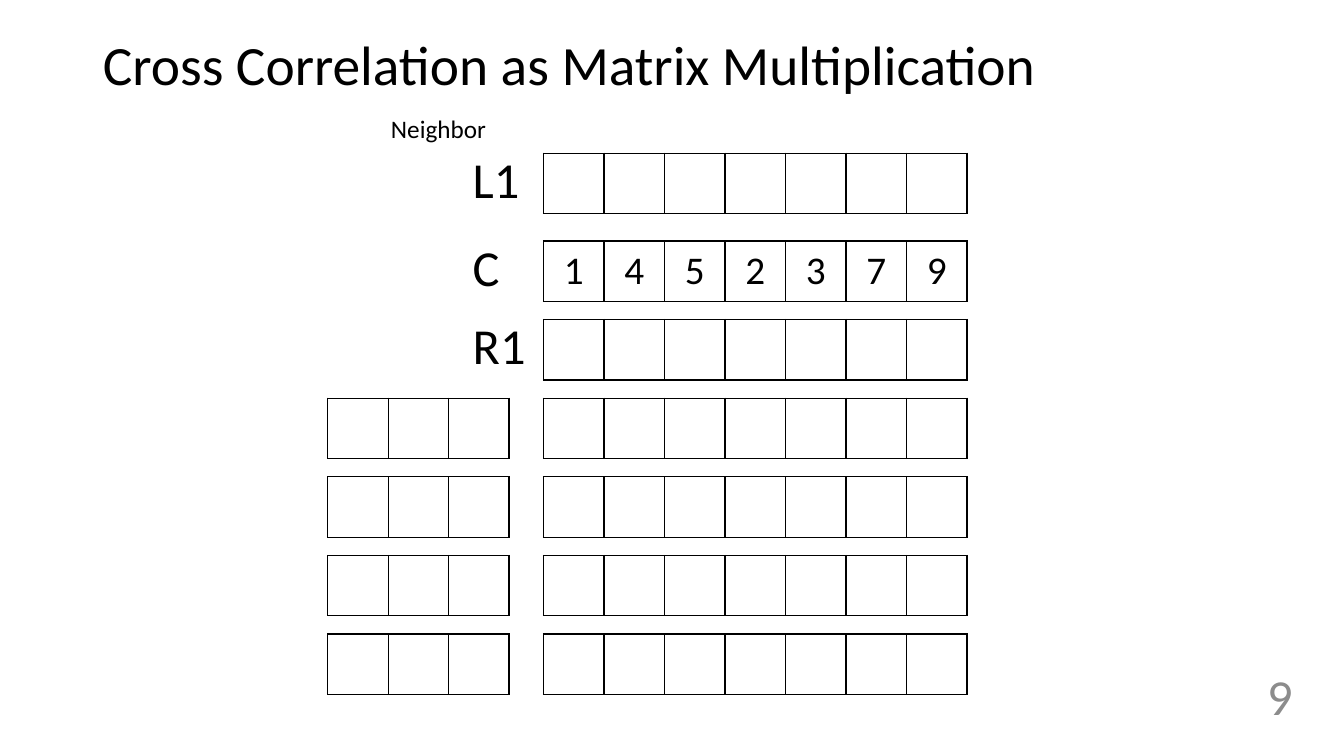
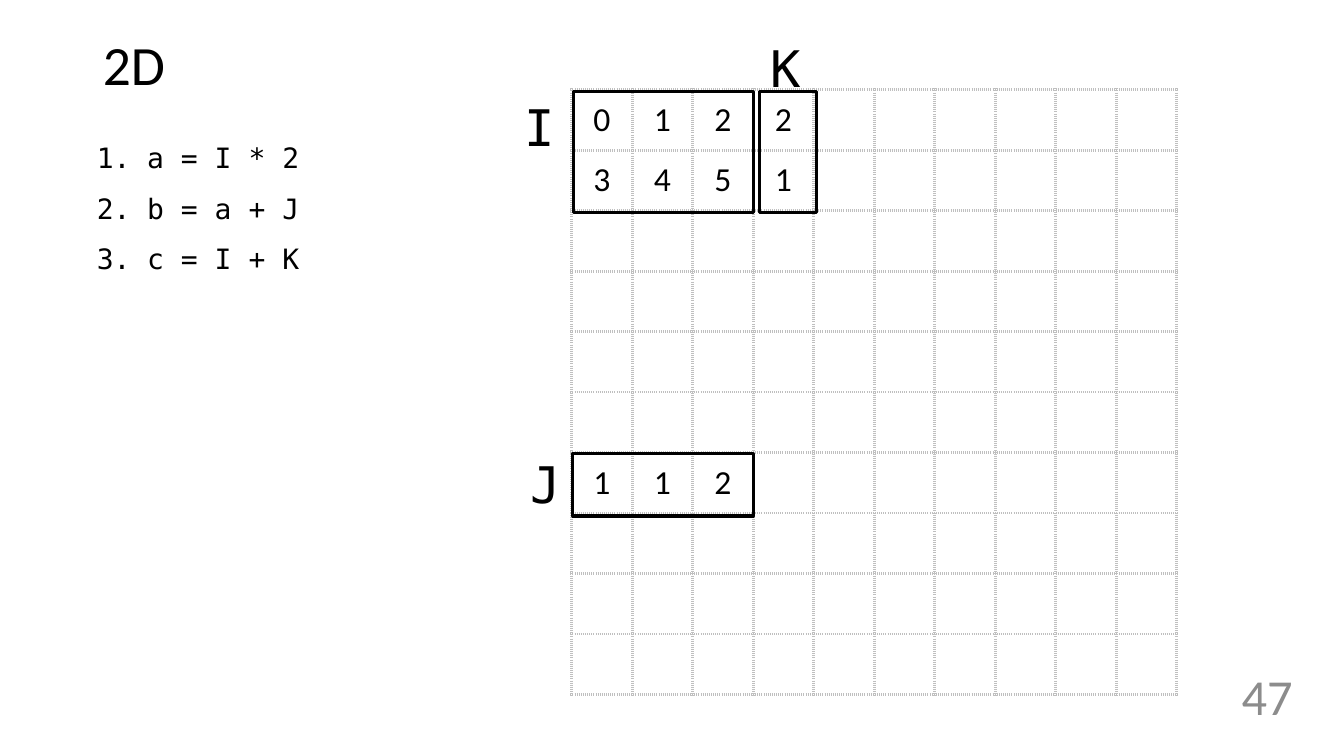
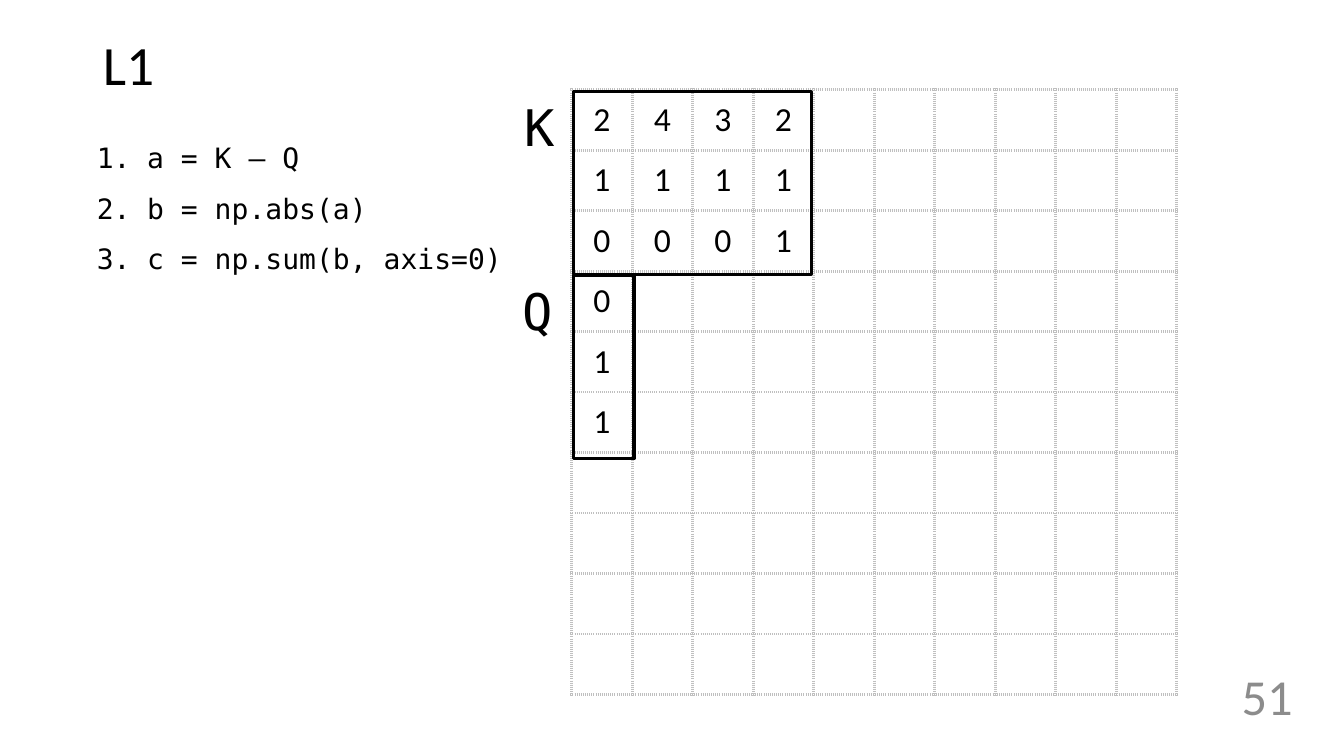
import pptx
import pptx.util
import pptx.dml.color
import pptx.enum.shapes
import pptx.enum.text
import pptx.oxml
import pptx.oxml.ns
from lxml import etree

Inches = pptx.util.Inches
Align = pptx.enum.text.PP_ALIGN
Anchor = pptx.enum.text.MSO_ANCHOR

SANS, MONO = "Calibri", "DejaVu Sans Mono"
BLACK, NUMBER_GREY, GRID_GREY = "000000", "8C8C8C", "BFBFBF"
CELL = 0.6
TITLE_ONLY, TITLE_AND_BODY = 5, 1


def write_text(frame, text, size=36, font=SANS, color=BLACK, align=Align.LEFT,
               anchor=Anchor.TOP, line_spacing=1.0):
    """Fill a text frame, one paragraph for each line of text."""
    frame.word_wrap = True
    frame.auto_size = pptx.enum.text.MSO_AUTO_SIZE.NONE
    frame.vertical_anchor = anchor
    frame.text = text
    for paragraph in frame.paragraphs:
        paragraph.alignment = align
        paragraph.line_spacing = line_spacing
        paragraph.space_before = pptx.util.Pt(0)
        run_font = paragraph.runs[0].font
        run_font.size = pptx.util.Pt(size)
        run_font.name = font
        run_font.color.rgb = pptx.dml.color.RGBColor.from_string(color)


def add_grid(slide, left, top, rows, size, color=BLACK, width=1, dash="solid"):
    """Add a table of square cells; each row is a string, a space is an empty cell."""
    column_count = len(rows[0])
    table = slide.shapes.add_table(
        len(rows), column_count, Inches(left), Inches(top),
        Inches(CELL * column_count), Inches(CELL * len(rows))).table
    table.first_row = table.horz_banding = False
    for row_index, row in enumerate(rows):
        for column_index, value in enumerate(row):
            cell = table.cell(row_index, column_index)
            cell_properties = cell._tc.get_or_add_tcPr()
            for side in "LRTB":
                cell_properties.append(pptx.oxml.parse_xml(
                    f'<a:ln{side} {pptx.oxml.ns.nsdecls("a")} w="{pptx.util.Pt(width)}">'
                    f'<a:solidFill><a:srgbClr val="{color}"/></a:solidFill>'
                    f'<a:prstDash val="{dash}"/></a:ln{side}>'))
            cell.fill.background()
            cell.vertical_anchor = Anchor.MIDDLE
            if value != " ":
                write_text(cell.text_frame, value, size=size, align=Align.CENTER,
                           anchor=Anchor.MIDDLE)


presentation = pptx.Presentation()
presentation.slide_width = Inches(13.33)
presentation.slide_height = Inches(7.5)

# Titles and slide numbers
slides = []
for title, number, layout in [
    ("Cross Correlation as Matrix Multiplication", "9", TITLE_ONLY),
    ("2D", "47", TITLE_AND_BODY),
    ("L1", "51", TITLE_AND_BODY),
]:
    slide = presentation.slides.add_slide(presentation.slide_layouts[layout])
    shape = slide.shapes.title
    shape.left, shape.top, shape.width, shape.height = map(Inches, (0.92, 0.4, 11.5, 0.55))
    write_text(shape.text_frame, title, size=39.6, anchor=Anchor.MIDDLE, line_spacing=0.9)
    shape = slide.shapes.add_textbox(*map(Inches, (11.67, 6.47, 1.25, 0.86)))
    write_text(shape.text_frame, number, color=NUMBER_GREY, align=Align.RIGHT,
               anchor=Anchor.MIDDLE)
    slides.append(slide)

# Cross correlation: signal rows on the right, filter rows on the left
slide = slides[0]
SIGNAL_LEFT, FILTER_LEFT = 5.39, 3.25
row_tops = [1.52] + [2.39 + 0.78 * step for step in range(6)]
for row_index, top in enumerate(row_tops):
    values = "1452379" if row_index == 1 else " " * 7
    add_grid(slide, SIGNAL_LEFT, top, [values], size=28)
    if row_index >= 3:
        add_grid(slide, FILTER_LEFT, top, [" " * 3], size=28)
for label, top in zip(["L1", "C", "R1"], row_tops):
    shape = slide.shapes.add_textbox(*map(Inches, (4.59, top - 0.1, 0.8, 0.71)))
    write_text(shape.text_frame, label)
shape = slide.shapes.add_textbox(*map(Inches, (3.78, 1.08, 1.37, 0.4)))
write_text(shape.text_frame, "Neighbor", size=18)

# Array exercises: frames and labels are placed in cells of a 10 by 10 grid
GRID_LEFT, GRID_TOP, GRID_SIZE = 5.67, 0.89, 10
exercises = [
    (["a = I * 2", "b = a + J", "c = I + K"],
     ["0122", "3451", "", "", "", "", "112"],
     [(0.03, 0.03, 2.98, 2), (0.02, 6.02, 2.98, 1.03), (3.1, 0.03, 0.95, 2)],
     [("I", -0.95, 0.03), ("J", -0.85, 5.93), ("K", 3.12, -0.95)]),
    (["a = K – Q", "b = np.abs(a)", "c = np.sum(b, axis=0)"],
     ["2432", "1111", "0001", "0", "1", "1"],
     [(0.03, 0.03, 3.93, 3.03), (0.03, 3.07, 1, 3.03)],
     [("K", -0.95, 0.03), ("Q", -0.97, 3.07)]),
]
for slide, (steps, values, frames, labels) in zip(slides[1:], exercises):
    rows = [row.ljust(GRID_SIZE) for row in values]
    rows += [" " * GRID_SIZE] * (GRID_SIZE - len(rows))
    add_grid(slide, GRID_LEFT, GRID_TOP, rows, size=24, color=GRID_GREY, width=2.25,
             dash="sysDot")

    for column, row, column_span, row_span in frames:
        shape = slide.shapes.add_shape(
            pptx.enum.shapes.MSO_SHAPE.RECTANGLE,
            Inches(GRID_LEFT + column * CELL), Inches(GRID_TOP + row * CELL),
            Inches(column_span * CELL), Inches(row_span * CELL))
        shape.shadow.inherit = False
        shape.fill.background()
        shape.line.color.rgb = pptx.dml.color.RGBColor.from_string(BLACK)
        shape.line.width = pptx.util.Pt(2.25)

    for label, column, row in labels:
        shape = slide.shapes.add_textbox(
            Inches(GRID_LEFT + column * CELL), Inches(GRID_TOP + row * CELL),
            Inches(CELL), Inches(0.71))
        write_text(shape.text_frame, label, font=MONO)

    body = slide.placeholders[1]
    body.left, body.top, body.width, body.height = map(Inches, (0.86, 1.18, 4.52, 1.56))
    write_text(body.text_frame, "\n".join(steps), size=20, font=MONO, line_spacing=1.5)
    for paragraph in body.text_frame.paragraphs:
        properties = paragraph._p.get_or_add_pPr()
        properties.set("marL", str(Inches(0.5)))
        properties.set("indent", str(Inches(-0.5)))
        etree.SubElement(properties, pptx.oxml.ns.qn("a:buFont"), typeface=MONO)
        etree.SubElement(properties, pptx.oxml.ns.qn("a:buAutoNum"), type="arabicPeriod")

presentation.save("out.pptx")
